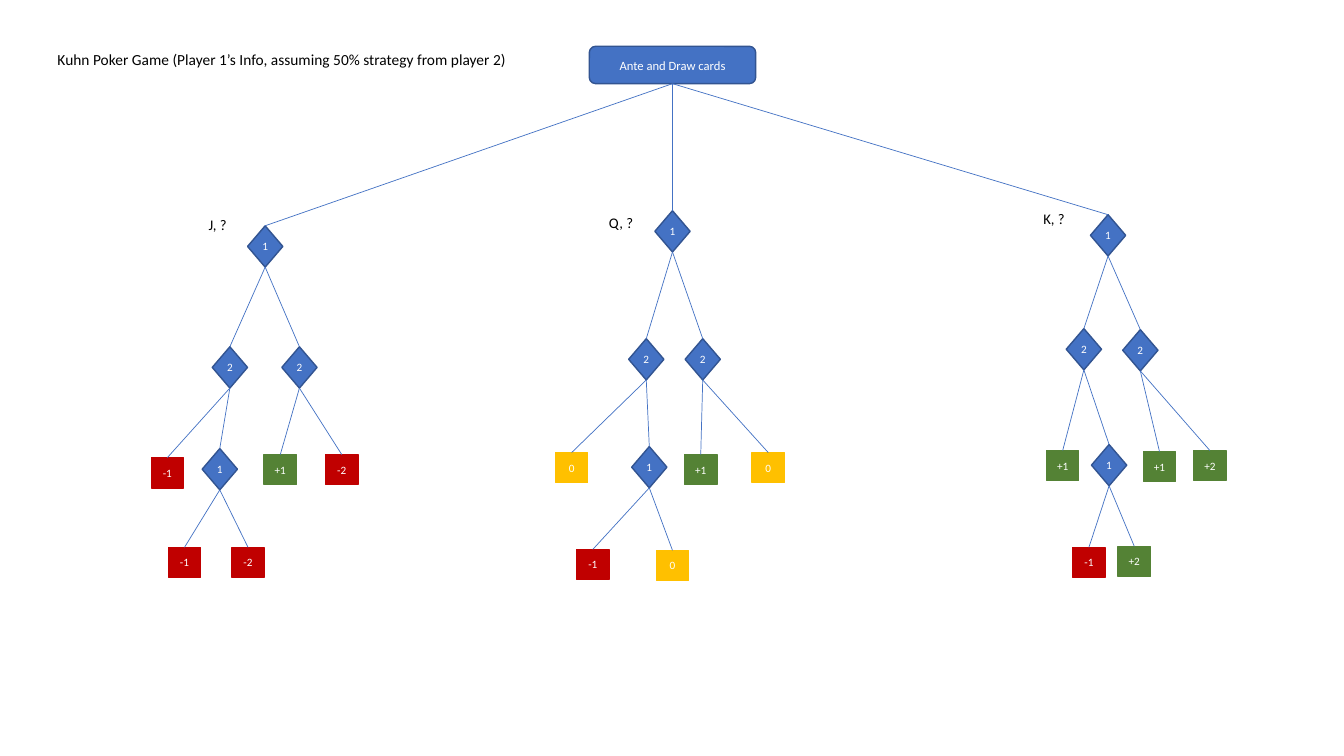
import pptx
import pptx.dml.color
import pptx.enum.shapes
import pptx.enum.text
import pptx.oxml
import pptx.util

Inches, Pt = pptx.util.Inches, pptx.util.Pt
RGBColor = pptx.dml.color.RGBColor
SHAPES = pptx.enum.shapes.MSO_SHAPE
ALIGN = pptx.enum.text.PP_ALIGN
ANCHOR = pptx.enum.text.MSO_ANCHOR

BLUE = RGBColor(0x44, 0x72, 0xC4)
DARK_BLUE = RGBColor(0x32, 0x54, 0x91)
RED = RGBColor(0xC0, 0x00, 0x00)
GREEN = RGBColor(0x54, 0x82, 0x35)
GOLD = RGBColor(0xFF, 0xC0, 0x00)
WHITE = RGBColor(0xFF, 0xFF, 0xFF)
BLACK = RGBColor(0x00, 0x00, 0x00)

# Content: every node is (text, centre x, top y, children), in inches
TITLE = "Kuhn Poker Game (Player 1’s Info, assuming 50% strategy from player 2)"
JACK = ("1", 2.63, 2.24, [
    ("2", 2.28, 3.44, [
        ("-1", 1.66, 4.54, []),
        ("1", 2.18, 4.45, [("-1", 1.83, 5.43, []), ("-2", 2.46, 5.43, [])])]),
    ("2", 2.97, 3.44, [("+1", 2.78, 4.51, []), ("-2", 3.39, 4.51, [])])])
QUEEN = ("1", 6.67, 2.09, [
    ("2", 6.41, 3.36, [
        ("0", 5.67, 4.49, []),
        ("1", 6.44, 4.43, [("-1", 5.88, 5.45, []), ("0", 6.67, 5.46, [])])]),
    ("2", 6.97, 3.36, [("+1", 6.95, 4.51, []), ("0", 7.62, 4.49, [])])])
KING = ("1", 10.99, 2.13, [
    ("2", 10.75, 3.26, [
        ("+1", 10.54, 4.47, []),
        ("1", 11.0, 4.41, [("-1", 10.8, 5.43, []), ("+2", 11.25, 5.42, [])])]),
    ("2", 11.31, 3.27, [("+1", 11.5, 4.48, []), ("+2", 12.0, 4.47, [])])])
ROOT = ("Ante and Draw cards", 6.67, 0.46, [JACK, QUEEN, KING])
CARD_LABELS = [("J, ?", 1.97, 2.09), ("Q, ?", 5.94, 2.07), ("K, ?", 10.25, 2.03)]

# Node styles: preset, width, height, text size
ROOT_STYLE = (SHAPES.ROUNDED_RECTANGLE, 1.65, 0.37, 9)
PLAYER_STYLE = (SHAPES.DIAMOND, 0.35, 0.41, 8)
PAYOFF_STYLE = (SHAPES.RECTANGLE, 0.32, 0.3, 8)
PAYOFF_COLORS = {"-": RED, "+": GREEN, "0": GOLD}
BOTTOM, TOP = 2, 0  # connection sites

presentation = pptx.Presentation()
presentation.slide_width, presentation.slide_height = Inches(13.33), Inches(7.5)
slide = presentation.slides.add_slide(presentation.slide_layouts[5])


def write(shape, text, size, color, align):
    frame = shape.text_frame
    frame.text = text
    frame.word_wrap = True
    frame.vertical_anchor = ANCHOR.MIDDLE
    paragraph = frame.paragraphs[0]
    paragraph.alignment = align
    font = paragraph.runs[0].font
    font.name, font.size, font.color.rgb = "Calibri", Pt(size), color


def draw_branch(parent, child):
    line = slide.shapes.add_connector(pptx.enum.shapes.MSO_CONNECTOR.STRAIGHT, 0, 0, 0, 0)
    line.begin_connect(parent, BOTTOM)
    line.end_connect(child, TOP)
    line.line.color.rgb, line.line.width = BLUE, Pt(0.5)
    properties = line._element.spPr
    properties.append(pptx.oxml.parse_xml(
        '<a:effectLst xmlns:a="http://schemas.openxmlformats.org/drawingml/2006/main"/>'))


def draw_node(node, style=PLAYER_STYLE):
    """Draw a node, then its children and the branches to them."""
    text, center, top, children = node
    fill, outline = BLUE, DARK_BLUE
    if not children:
        style = PAYOFF_STYLE
        fill = outline = PAYOFF_COLORS[text[0]]
    preset, width, height, size = style
    shape = slide.shapes.add_shape(preset, Inches(center - width / 2), Inches(top),
                                   Inches(width), Inches(height))
    shape.shadow.inherit = False
    shape.fill.solid()
    shape.fill.fore_color.rgb = fill
    shape.line.color.rgb, shape.line.width = outline, Pt(1)
    write(shape, text, size, WHITE, ALIGN.CENTER)
    frame = shape.text_frame
    frame.margin_left = frame.margin_right = frame.margin_top = frame.margin_bottom = 0
    for child in children:
        draw_branch(shape, draw_node(child))
    return shape


# Title
title = slide.shapes.title
title.left, title.top, title.width, title.height = map(Inches, (0.47, 0.44, 4.78, 0.29))
write(title, TITLE, 11, BLACK, ALIGN.LEFT)

# Game tree
draw_node(ROOT, ROOT_STYLE)

# Player 1's card beside each subtree
for text, left, top in CARD_LABELS:
    label = slide.shapes.add_textbox(Inches(left), Inches(top), Inches(0.48), Inches(0.28))
    write(label, text, 10.5, BLACK, ALIGN.LEFT)
    label.text_frame.margin_right = 0

presentation.save("out.pptx")
